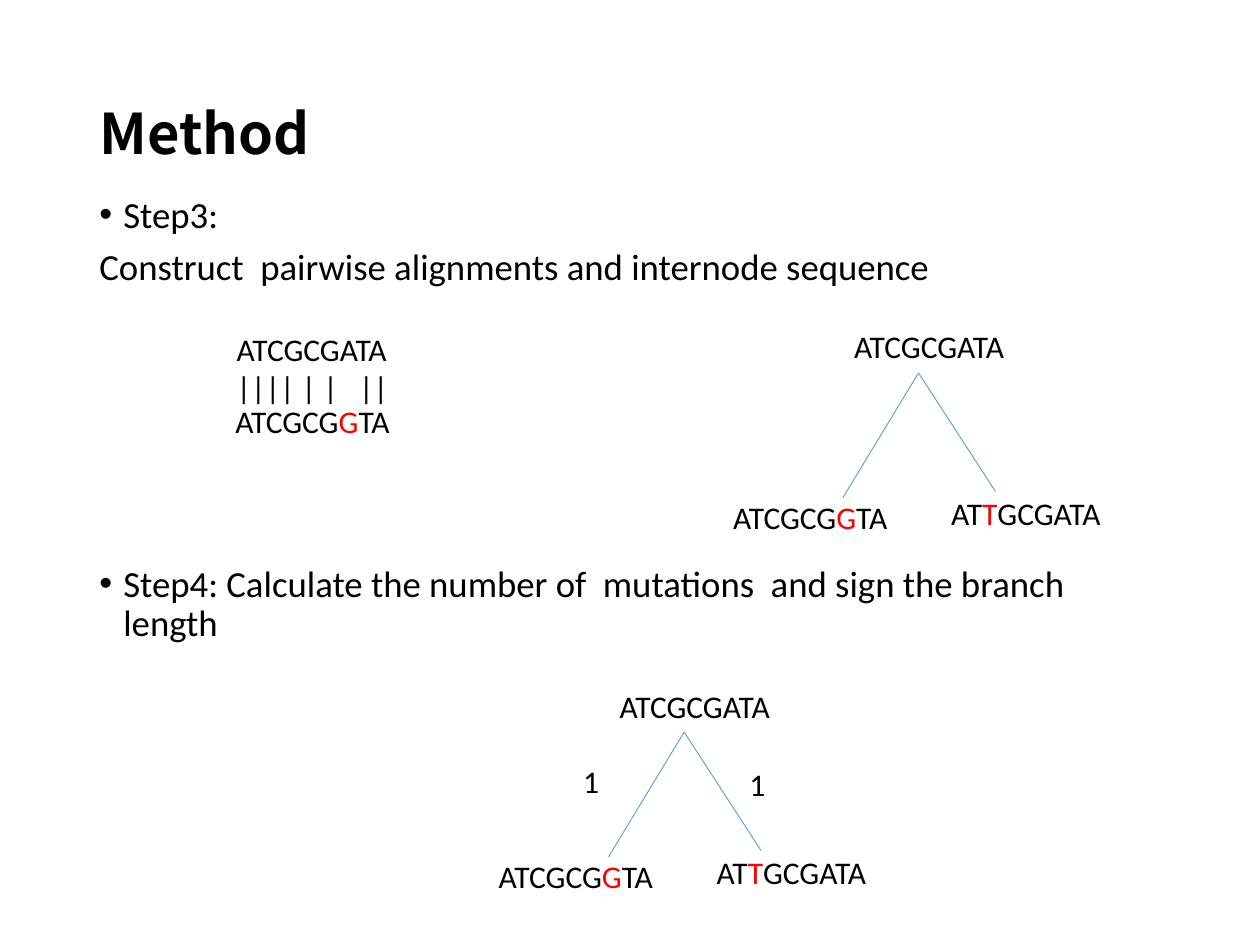
from lxml.etree import SubElement
from pptx import Presentation
from pptx.dml.color import RGBColor
from pptx.enum.shapes import MSO_CONNECTOR
from pptx.enum.text import MSO_ANCHOR
from pptx.oxml.ns import qn
from pptx.util import Inches, Pt

TITLE = {"name": "Noto Sans CJK KR", "size": Pt(32), "bold": True}
BODY = {"name": "Calibri", "size": Pt(21)}
SEQUENCE = {"name": "Calibri", "size": Pt(18)}
BLACK, RED, BLUE = "000000", "FF0000", "5B9BD5"

ANCESTOR = "ATCGCGATA"
LEFT_CHILD = "ATCGCG*G*TA"
RIGHT_CHILD = "AT*T*GCGATA"


def color(value):
    return RGBColor.from_string(value)


def add_text(page, box, lines, style, anchor=MSO_ANCHOR.TOP):
    """Place lines of text; a part between asterisks is a mutation in red."""
    shape = page.shapes.add_textbox(*map(Inches, box))
    frame = shape.text_frame
    frame.word_wrap = True
    frame.vertical_anchor = anchor
    for index, line in enumerate(lines):
        para = frame.paragraphs[0] if index == 0 else frame.add_paragraph()
        for part, text in enumerate(line.split("*")):
            if not text:
                continue
            span = para.add_run()
            span.text = text
            for key, value in style.items():
                setattr(span.font, key, value)
            span.font.color.rgb = color(RED if part % 2 else BLACK)
    return frame


def add_bullet(para):
    properties = para._p.get_or_add_pPr()
    properties.set("marL", str(Inches(0.19)))
    properties.set("indent", str(-Inches(0.19)))
    SubElement(properties, qn("a:buFont"), typeface="Arial")
    SubElement(properties, qn("a:buChar"), char="•")


def add_title(page, box):
    frame = add_text(page, box, ["Method"], TITLE, MSO_ANCHOR.MIDDLE)
    frame.paragraphs[0].line_spacing = 0.9


def add_steps(page, box):
    """Place both steps, with room for the diagrams above the last one."""
    steps = [
        ("Step3:", True, 0),
        ("Construct  pairwise alignments and internode sequence", False, 7.5),
        ("Step4: Calculate the number of  mutations  and sign the branch length",
         True, 158),
    ]
    frame = add_text(page, box, [text for text, _, _ in steps], BODY)
    for para, (_, bulleted, gap) in zip(frame.paragraphs, steps):
        para.line_spacing = 0.9
        para.space_before = Pt(gap)
        if bulleted:
            add_bullet(para)


def add_alignment(page, box):
    left, top, width, height = box
    add_text(page, box, [ANCESTOR, "|||| | |   ||"], SEQUENCE)
    add_text(page, (left - 0.01, top + 0.57, width, height), [LEFT_CHILD], SEQUENCE)


def add_branch(page, start, end):
    branch = page.shapes.add_connector(
        MSO_CONNECTOR.STRAIGHT, *map(Inches, (*start, *end)))
    branch.line.color.rgb = color(BLUE)
    branch.line.width = Pt(0.5)
    SubElement(branch._element.spPr, qn("a:effectLst"))


def add_tree(page, box, lengths=()):
    """Place an ancestor, its two children and optional branch lengths."""
    left, top, _, _ = box
    nodes = [(0.96, 0, ANCESTOR), (0, 1.35, LEFT_CHILD), (1.73, 1.32, RIGHT_CHILD)]
    for x, y, sequence in nodes:
        add_text(page, (left + x, top + y, 1.53, 0.4), [sequence], SEQUENCE)
    for x, y in ((0.97, 1.4), (2.18, 1.35)):
        add_branch(page, (left + 1.57, top + 0.41), (left + x, top + y))
    for (x, y), length in zip(((0.67, 0.6), (1.99, 0.62)), lengths):
        add_text(page, (left + x, top + y, 0.47, 0.4), [length], SEQUENCE)


def main():
    deck = Presentation()
    deck.slide_width, deck.slide_height = Inches(10), Inches(7.5)
    page = deck.slides.add_slide(deck.slide_layouts[6])
    add_title(page, (0.69, 0.36, 8.62, 1.45))
    add_steps(page, (0.69, 1.51, 8.62, 5.23))
    add_alignment(page, (1.78, 2.57, 1.53, 0.71))
    add_tree(page, (5.72, 2.55, 3.26, 1.75))
    add_tree(page, (3.86, 5.4, 3.26, 1.75), ("1", "1"))
    deck.save("out.pptx")


if __name__ == "__main__":
    main()
